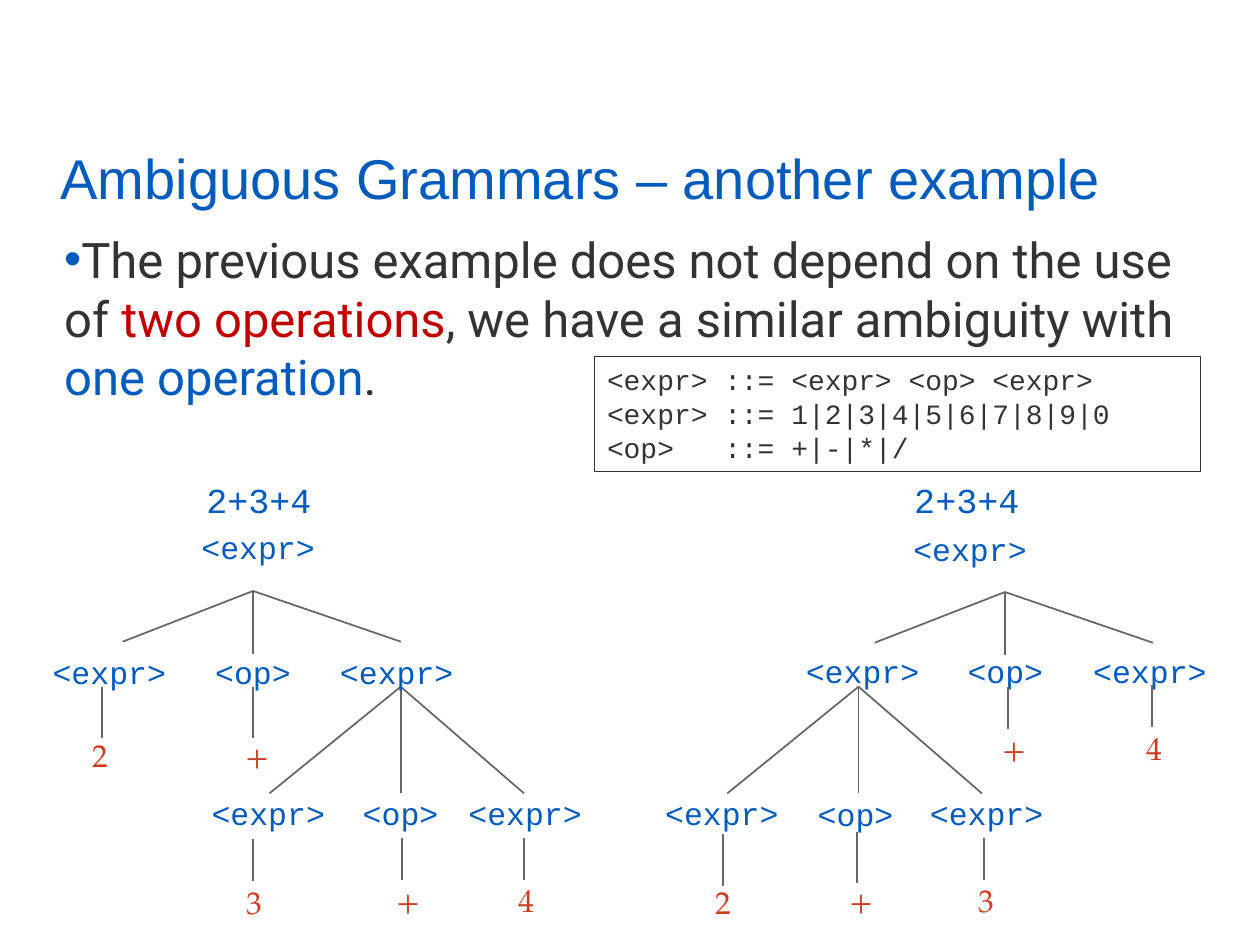
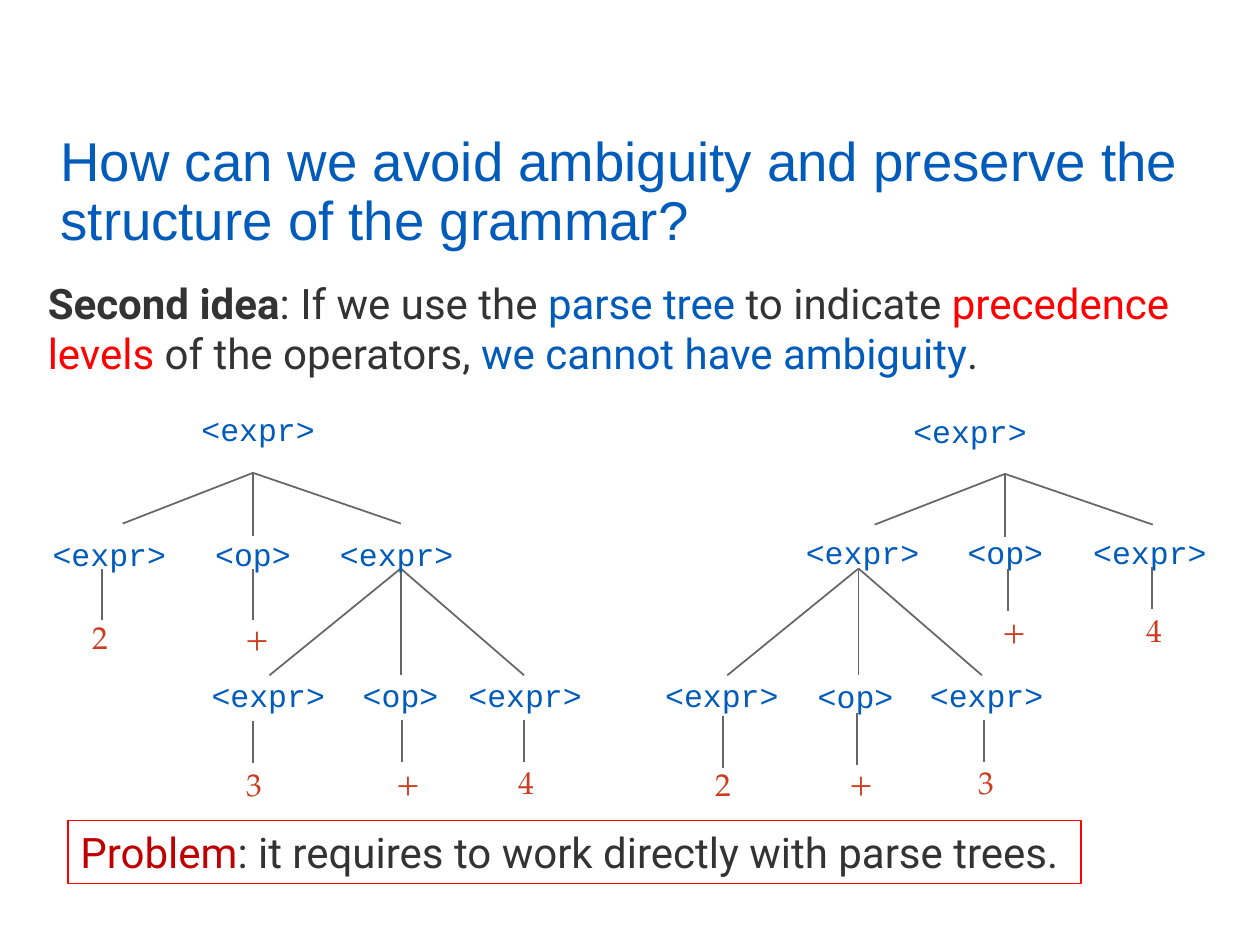
"""Build two slides on ambiguous grammars, each with a pair of parse trees."""
from pptx import Presentation
from pptx.dml.color import RGBColor
from pptx.enum.shapes import MSO_CONNECTOR, MSO_SHAPE
from pptx.enum.text import MSO_ANCHOR as ANCHOR, MSO_AUTO_SIZE as AUTO, PP_ALIGN as ALIGN
from pptx.oxml.ns import qn
from pptx.util import Pt
from lxml.etree import SubElement

COLORS = {"blue": "005BBB", "text": "333333", "dark_red": "C00000",
          "red": "FF0000", "leaf": "CC3D1F", "line": "666666"}
SANS, BODY, MONO, SERIF = "Arial", "Roboto", "Courier New", "TeX Gyre Pagella"

TITLES = ["Ambiguous Grammars – another example",
          "How can we avoid ambiguity and preserve the structure of the grammar?"]
INTRO = [("The previous example does not depend on the use of ", "text"),
         ("two operations", "dark_red"),
         (", we have a similar ambiguity with ", "text"),
         ("one operation", "blue"), (".", "text")]
GRAMMAR = ["<expr> ::= <expr> <op> <expr>",
           "<expr> ::= 1|2|3|4|5|6|7|8|9|0",
           "<op>   ::= +|-|*|/"]
IDEA = [("Second idea", "text"), (": If we use the ", "text"), ("parse tree ", "blue"),
        ("to indicate ", "text"), ("precedence levels", "red"),
        (" of the operators, ", "text"), ("we cannot have ambiguity", "blue"), (".", "text")]
PROBLEM = [("Problem", "dark_red"),
           (": it requires to work directly with parse trees.", "text")]
FORMULA = "2+3+4"
FORMULA_LEFTS = [73.5, 478]

ROOT_FAN = [(-74.5, 29), (0, 36), (84.5, 29)]
CHILD_FAN = [(-75, 61), (0, 61), (70.5, 61)]
TREES = [
    {"apexes": [(144.6, 337.7), (229, 392.4)],
     "nodes": [("<expr>", 108, 298.1), ("<expr>", 23, 369.4), ("<op>", 115.9, 369.4),
               ("<expr>", 187.2, 369.4), ("<expr>", 113.8, 450.2), ("<op>", 200.2, 450),
               ("<expr>", 260.6, 450)],
     "leaves": [("2", 46, 417, 58.3, 392.4, 29.5), ("+", 133.2, 417, 144.7, 392.4, 29.5),
                ("3", 134, 501, 144.7, 479.5, 24), ("+", 219.6, 499.7, 229.7, 478.8, 24),
                ("4", 289.4, 499.7, 299.5, 478.8, 24)]},
    {"apexes": [(574.3, 338.3), (490.6, 392.4)],
     "nodes": [("<expr>", 514.8, 299.3), ("<expr>", 453.4, 368.8), ("<op>", 545.8, 368.8),
               ("<expr>", 617.6, 368.8), ("<expr>", 373, 450.2), ("<op>", 460.2, 451),
               ("<expr>", 524.3, 450)],
     "leaves": [("2", 401.8, 501, 413.3, 476.6, 29.5), ("+", 478.2, 499.7, 489.6, 475.2, 29.5),
                ("3", 552.2, 499.7, 562.3, 478.8, 24), ("+", 565.9, 413.3, 576, 392.4, 24),
                ("4", 648, 413.3, 658.1, 391.7, 24)]},
]
TREE_SHIFTS = [0, -67.5]


def rgb(name):
    return RGBColor.from_string(COLORS[name])


def place(shape, left, top, width, height):
    shape.left, shape.top, shape.width, shape.height = map(Pt, (left, top, width, height))


def style(run, font, size, color):
    run.font.name, run.font.size, run.font.color.rgb = font, Pt(size), rgb(color)


def write_runs(p, pieces, font, size):
    for text, color in pieces:
        r = p.add_run()
        r.text = text
        style(r, font, size, color)


def add_label(s, text, box, font, size, color, align=ALIGN.LEFT, wrap=False):
    tf = s.shapes.add_textbox(*map(Pt, box)).text_frame
    tf.word_wrap = wrap
    p = tf.paragraphs[0]
    p.text, p.alignment = text, align
    style(p.runs[0], font, size, color)


def add_frame(s, box, color):
    sp = s.shapes.add_shape(MSO_SHAPE.RECTANGLE, *map(Pt, box))
    sp.shadow.inherit = False
    sp.fill.background()
    sp.line.color.rgb, sp.line.width = rgb(color), Pt(0.75)
    tf = sp.text_frame
    tf.word_wrap, tf.vertical_anchor = True, ANCHOR.TOP
    return tf


def add_line(s, x1, y1, x2, y2):
    line = s.shapes.add_connector(MSO_CONNECTOR.STRAIGHT, *map(Pt, (x1, y1, x2, y2)))
    line.line.color.rgb, line.line.width = rgb("line"), Pt(1)
    SubElement(line._element.spPr, qn("a:effectLst"))


def add_tree(s, tree, shift):
    for (x, y), fan in zip(tree["apexes"], (ROOT_FAN, CHILD_FAN)):
        for dx, dy in fan:
            add_line(s, x, y + shift, x + dx, y + dy + shift)
    for text, left, top in tree["nodes"]:
        width = 10.8 * len(text) + 14.4
        add_label(s, text, (left, top + shift, width, 29), MONO, 18, "blue")
    for text, left, top, x, y, length in tree["leaves"]:
        add_line(s, x, y + shift, x, y + length + shift)
        width = 25.3 if text == "+" else 23.8
        add_label(s, text, (left, top + shift, width, 29), SERIF, 18, "leaf")


def add_slide(prs, layout, title, box, size, anchor, shift):
    s = prs.slides.add_slide(prs.slide_layouts[layout])
    place(s.shapes.title, *box)
    tf = s.shapes.title.text_frame
    tf.text = title
    tf.word_wrap, tf.auto_size, tf.vertical_anchor = True, AUTO.NONE, anchor
    p = tf.paragraphs[0]
    p.alignment, p.line_spacing = ALIGN.LEFT, 0.9
    style(p.runs[0], SANS, size, "blue")
    for tree in TREES:
        add_tree(s, tree, shift)
    return s


def add_bullet(p):
    pPr = p._p.get_or_add_pPr()
    pPr.set("marL", "0")
    pPr.set("indent", "0")
    SubElement(SubElement(pPr, qn("a:buClr")), qn("a:srgbClr")).set("val", COLORS["blue"])
    SubElement(pPr, qn("a:buFont")).set("typeface", SANS)
    SubElement(pPr, qn("a:buChar")).set("char", "•")


def build_example(prs):
    s = add_slide(prs, 1, TITLES[0], (27.4, 82.8, 620.6, 50.4), 32, ANCHOR.TOP, TREE_SHIFTS[0])
    body = s.placeholders[1]
    place(body, 29.5, 127.4, 656.6, 212.4)
    tf = body.text_frame
    tf.auto_size, tf.vertical_anchor = AUTO.NONE, ANCHOR.TOP
    p = tf.paragraphs[0]
    add_bullet(p)
    p.space_before = Pt(0)
    write_runs(p, INTRO, BODY, 28)
    tf = add_frame(s, (339.8, 203.8, 346.3, 65.5), "text")
    tf.text = "\n".join(GRAMMAR)
    for p in tf.paragraphs:
        p.alignment = ALIGN.LEFT
        style(p.runs[0], MONO, 16, "text")
    for left in FORMULA_LEFTS:
        add_label(s, FORMULA, (left, 270, 149, 31.7), MONO, 20, "blue", ALIGN.CENTER, True)


def build_idea(prs):
    s = add_slide(prs, 5, TITLES[1], (27.4, 69.1, 653.8, 78.5), 31.2, ANCHOR.BOTTOM,
                  TREE_SHIFTS[1])
    tf = s.shapes.add_textbox(*map(Pt, (20.2, 154.8, 680.4, 65.5))).text_frame
    tf.word_wrap = True
    p = tf.paragraphs[0]
    write_runs(p, IDEA, BODY, 24)
    p.runs[0].font.bold = True
    p = add_frame(s, (38.9, 468.7, 578.9, 36.4), "red").paragraphs[0]
    p.alignment = ALIGN.LEFT
    write_runs(p, PROBLEM, BODY, 24)


def main():
    prs = Presentation()
    prs.slide_width, prs.slide_height = Pt(720), Pt(540)
    build_example(prs)
    build_idea(prs)
    prs.save("out.pptx")


if __name__ == "__main__":
    main()
